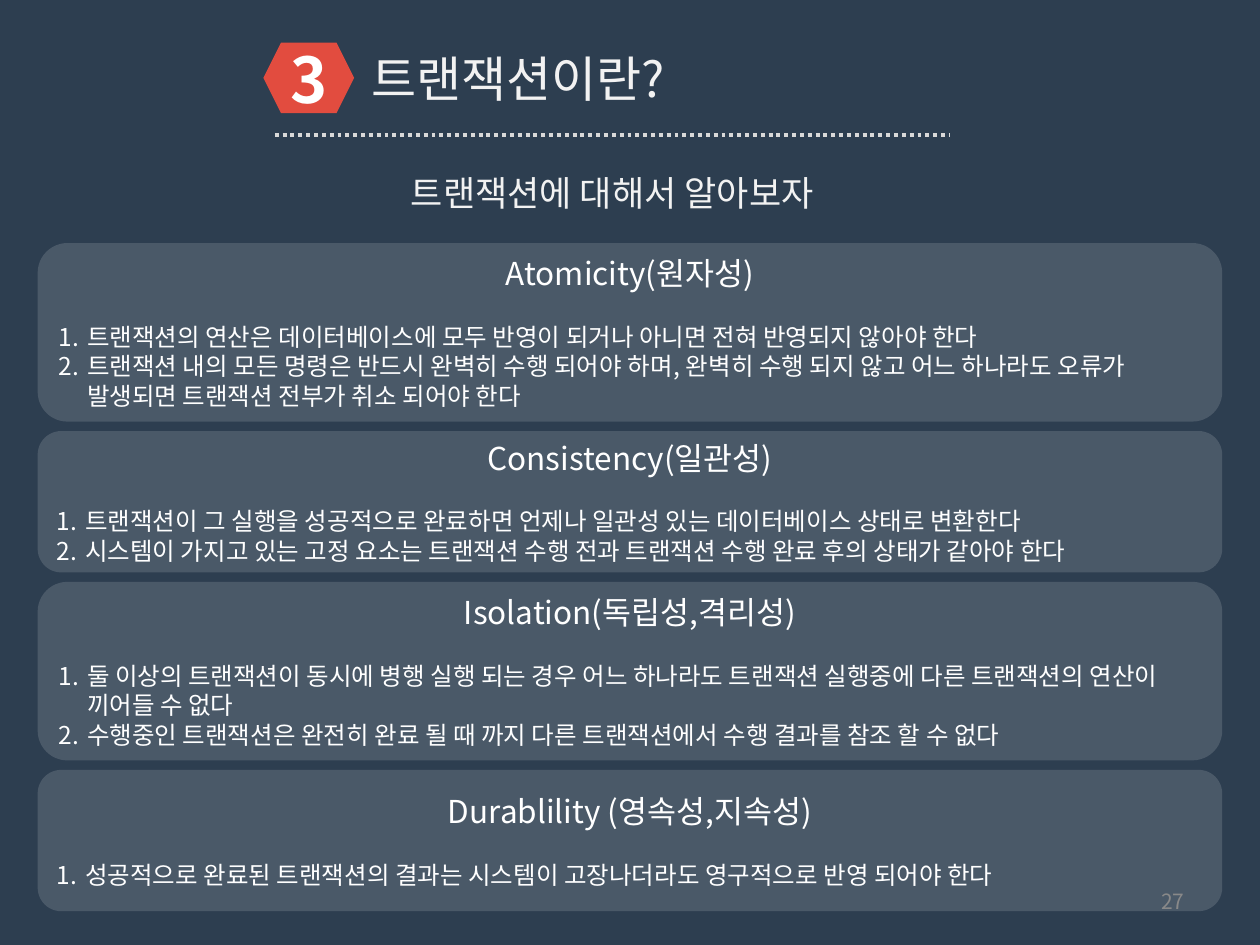
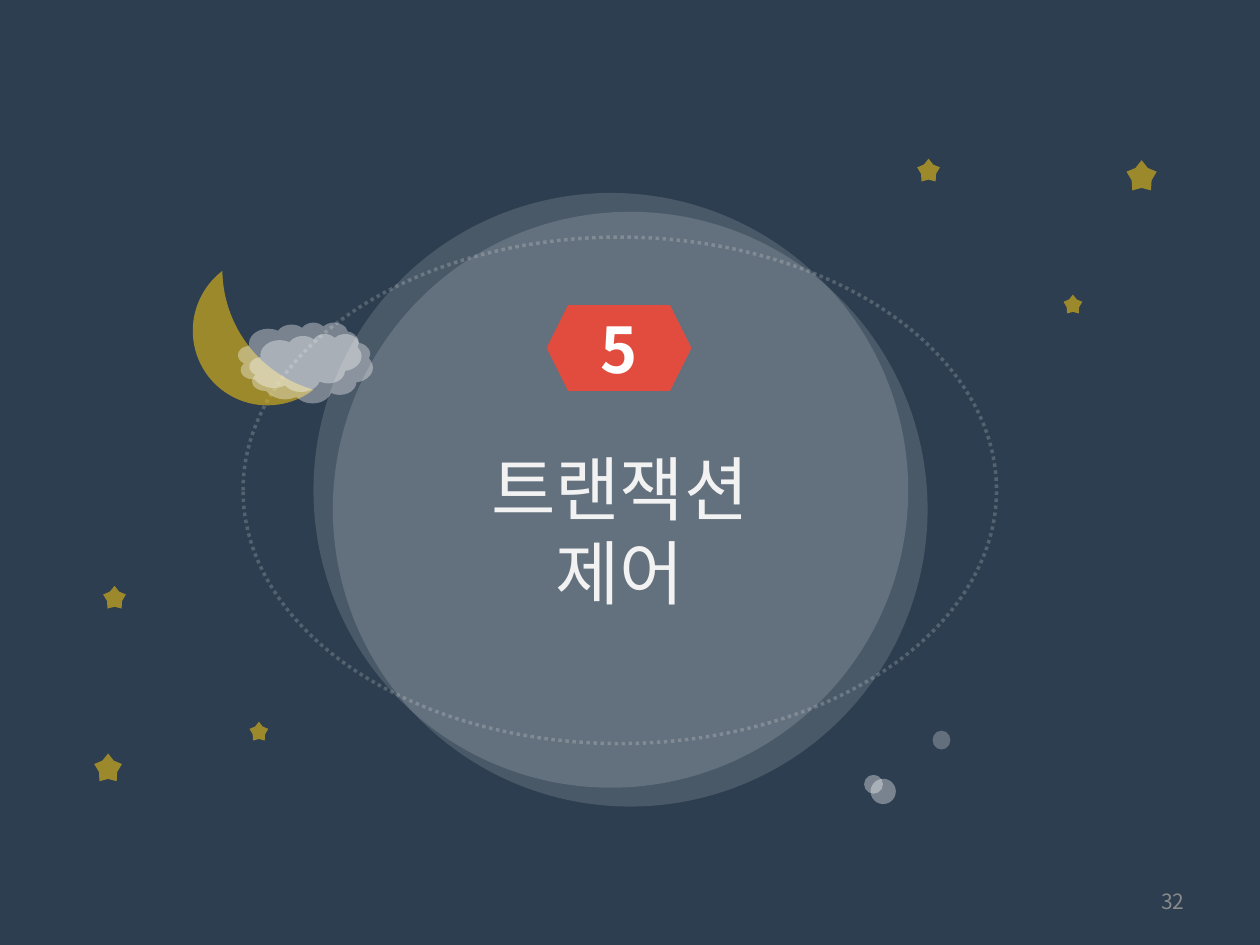
from pptx import Presentation
from pptx.dml.color import RGBColor
from pptx.enum.dml import MSO_LINE
from pptx.enum.shapes import MSO_CONNECTOR, MSO_SHAPE as Shape
from pptx.enum.text import MSO_ANCHOR as Anchor, PP_ALIGN as Align
from pptx.oxml.ns import qn
from pptx.util import Cm, Pt
from lxml import etree

FONT = "Noto Sans CJK KR"
NIGHT, RED, GOLD = "2D3E50", "E24C3F", "F3C40F"
WHITE, PALE, DOTS, GREY = "FFFFFF", "F2F2F2", "D9D9D9", "898989"
PAGE_NUMBER_BOX = (18.21, 17.65, 5.92, 1.02)

PANEL_GAP = 0.19
TALL, SHORT = 3.6, 2.85
PANELS = [
    (TALL, "Atomicity(원자성)", [
        "트랜잭션의 연산은 데이터베이스에 모두 반영이 되거나 아니면 전혀 반영되지 않아야 한다",
        "트랜잭션 내의 모든 명령은 반드시 완벽히 수행 되어야 하며, 완벽히 수행 되지 않고 "
        "어느 하나라도 오류가 발생되면 트랜잭션 전부가 취소 되어야 한다"]),
    (SHORT, "Consistency(일관성)", [
        "트랜잭션이 그 실행을 성공적으로 완료하면 언제나 일관성 있는 데이터베이스 상태로 변환한다",
        "시스템이 가지고 있는 고정 요소는 트랜잭션 수행 전과 트랜잭션 수행 완료 후의 상태가 같아야 한다"]),
    (TALL, "Isolation(독립성,격리성)", [
        "둘 이상의 트랜잭션이 동시에 병행 실행 되는 경우 어느 하나라도 트랜잭션 실행중에 "
        "다른 트랜잭션의 연산이 끼어들 수 없다",
        "수행중인 트랜잭션은 완전히 완료 될 때 까지 다른 트랜잭션에서 수행 결과를 참조 할 수 없다"]),
    (SHORT, "Durablility (영속성,지속성)", [
        "성공적으로 완료된 트랜잭션의 결과는 시스템이 고장나더라도 영구적으로 반영 되어야 한다"]),
]

# left, top, size
STARS = [(1.9, 15.19, 0.56), (5.03, 14.55, 0.38), (2.08, 11.81, 0.46),
         (22.71, 3.23, 0.61), (21.44, 5.94, 0.38), (18.49, 3.2, 0.46)]
# left, top, width, height, opacity
BUBBLES = [(17.42, 15.62, 0.38, 0.38, 36), (17.55, 15.7, 0.51, 0.51, 36),
           (18.8, 14.73, 0.36, 0.38, 26)]


def color(value):
    return RGBColor.from_string(value)


def paint(fill, value, opacity=100):
    fill.solid()
    fill.fore_color.rgb = color(value)
    if opacity < 100:
        parent = fill._xPr.find(qn("a:solidFill"))[0]
        etree.SubElement(parent, qn("a:alpha"), val=str(opacity * 1000))


def add_figure(page, kind, box, fill=None, opacity=100):
    figure = page.shapes.add_shape(kind, *map(Cm, box))
    figure.shadow.inherit = False
    figure.line.fill.background()
    if fill:
        paint(figure.fill, fill, opacity)
    else:
        figure.fill.background()
    return figure


def add_span(para, text, size, value=WHITE, bold=False):
    span = para.add_run()
    span.text = text
    span.font.size = Pt(size)
    span.font.name = FONT
    span.font.bold = bold
    span.font.color.rgb = color(value)
    latin = span.font._element.find(qn("a:latin"))
    latin.addnext(latin.makeelement(qn("a:ea"), typeface=FONT))


def write_lines(frame, lines, size, value=WHITE, align=Align.CENTER,
                anchor=Anchor.MIDDLE, bold=False):
    frame.word_wrap = True
    frame.vertical_anchor = anchor
    for index, line in enumerate(lines):
        para = frame.add_paragraph() if index else frame.paragraphs[0]
        para.alignment = align
        add_span(para, line, size, value, bold)


def add_label(page, box, lines, size, value=PALE, align=Align.CENTER, anchor=Anchor.TOP):
    label = page.shapes.add_textbox(*map(Cm, box))
    write_lines(label.text_frame, lines, size, value, align, anchor)


def add_badge(page, box, number):
    badge = add_figure(page, Shape.HEXAGON, box, RED)
    write_lines(badge.text_frame, [number], 36, bold=True)


def add_numbered(frame, text, first):
    para = frame.add_paragraph()
    para.alignment = Align.LEFT
    if first:
        para.space_before = Pt(17)
    props = para._p.get_or_add_pPr()
    props.set("marL", str(Cm(0.57)))
    props.set("indent", str(-Cm(0.57)))
    etree.SubElement(props, qn("a:buFont"), typeface=FONT)
    etree.SubElement(props, qn("a:buAutoNum"), type="arabicPeriod")
    add_span(para, text, 14)


def add_page(deck, number):
    page = deck.slides.add_slide(deck.slide_layouts[6])
    paint(page.background.fill, NIGHT)
    return page, lambda: add_label(page, PAGE_NUMBER_BOX, [number], 12, GREY,
                                   Align.RIGHT, Anchor.MIDDLE)


def add_header(page, box, number, title, subtitle):
    left, top, width, height = box
    add_badge(page, (left, top, 1.83, 1.42), number)
    add_label(page, (left + 1.93, top, 13.41, 1.45), [title], 28, align=Align.LEFT)
    # Dotted rule under the title
    rule_y = Cm(top + height)
    rule = page.shapes.add_connector(MSO_CONNECTOR.STRAIGHT, Cm(left + 0.23), rule_y,
                                     Cm(left + width), rule_y)
    rule.line.color.rgb = color(DOTS)
    rule.line.width = Pt(2.25)
    rule.line.dash_style = MSO_LINE.ROUND_DOT
    etree.SubElement(rule._element.spPr, qn("a:effectLst"))
    add_label(page, (left + 0.33, top + 2.47, 13.41, 1.12), [subtitle], 20)


def add_panel(page, box, heading, items):
    panel = add_figure(page, Shape.ROUNDED_RECTANGLE, box, WHITE, 14)
    write_lines(panel.text_frame, [heading], 18)
    for index, item in enumerate(items):
        add_numbered(panel.text_frame, item, index == 0)


def add_planet(page, box, number, lines):
    left, top, width, height = box
    # Dotted orbit
    orbit = add_figure(page, Shape.OVAL, box)
    paint(orbit.line.fill, WHITE, 19)
    orbit.line.width = Pt(2)
    orbit.line.dash_style = MSO_LINE.ROUND_DOT
    # Two offset discs
    for dx, dy in [(1.81, -0.51), (1.42, -0.89)]:
        add_figure(page, Shape.OVAL, (left + dx, top + dy, 11.99, 11.99), WHITE, 14)
    add_label(page, (left + 2.67, top + 4.08, 9.86, 3.66), lines, 40)
    add_badge(page, (left + 6.12, top + 1.37, 2.92, 1.73), number)


def add_moon(page, box):
    left, top, width, height = box
    moon = add_figure(page, Shape.MOON, box, GOLD, 56)
    moon.adjustments[0] = 0.67
    moon.rotation = 322.5
    for dx, dy in [(0.76, 0.89), (0.99, 1.12)]:
        add_figure(page, Shape.CLOUD, (left + dx, top + dy, 2.49, 1.4), WHITE, 36)


def add_sky(page):
    for left, top, size in STARS:
        star = add_figure(page, Shape.STAR_5_POINT, (left, top, size, size), GOLD, 56)
        star.adjustments[0] = 0.33
    for *box, opacity in BUBBLES:
        add_figure(page, Shape.OVAL, box, WHITE, opacity)


def build_acid_page(deck):
    page, add_page_number = add_page(deck, "27")
    add_header(page, (5.31, 0.86, 13.84, 1.86), "3", "트랜잭션이란?",
               "트랜잭션에 대해서 알아보자")
    top = 4.9
    for height, heading, items in PANELS:
        add_panel(page, (0.76, top, 23.88, height), heading, items)
        top += height + PANEL_GAP
    add_page_number()


def build_section_page(deck):
    page, add_page_number = add_page(deck, "32")
    add_planet(page, (4.9, 4.78, 15.19, 10.21), "5", ["트랜잭션", "제어"])
    add_sky(page)
    add_moon(page, (4.04, 5.61, 1.52, 3.02))
    add_page_number()


def main():
    deck = Presentation()
    deck.slide_width, deck.slide_height = Cm(25.4), Cm(19.05)
    build_acid_page(deck)
    build_section_page(deck)
    deck.save("out.pptx")


if __name__ == "__main__":
    main()
